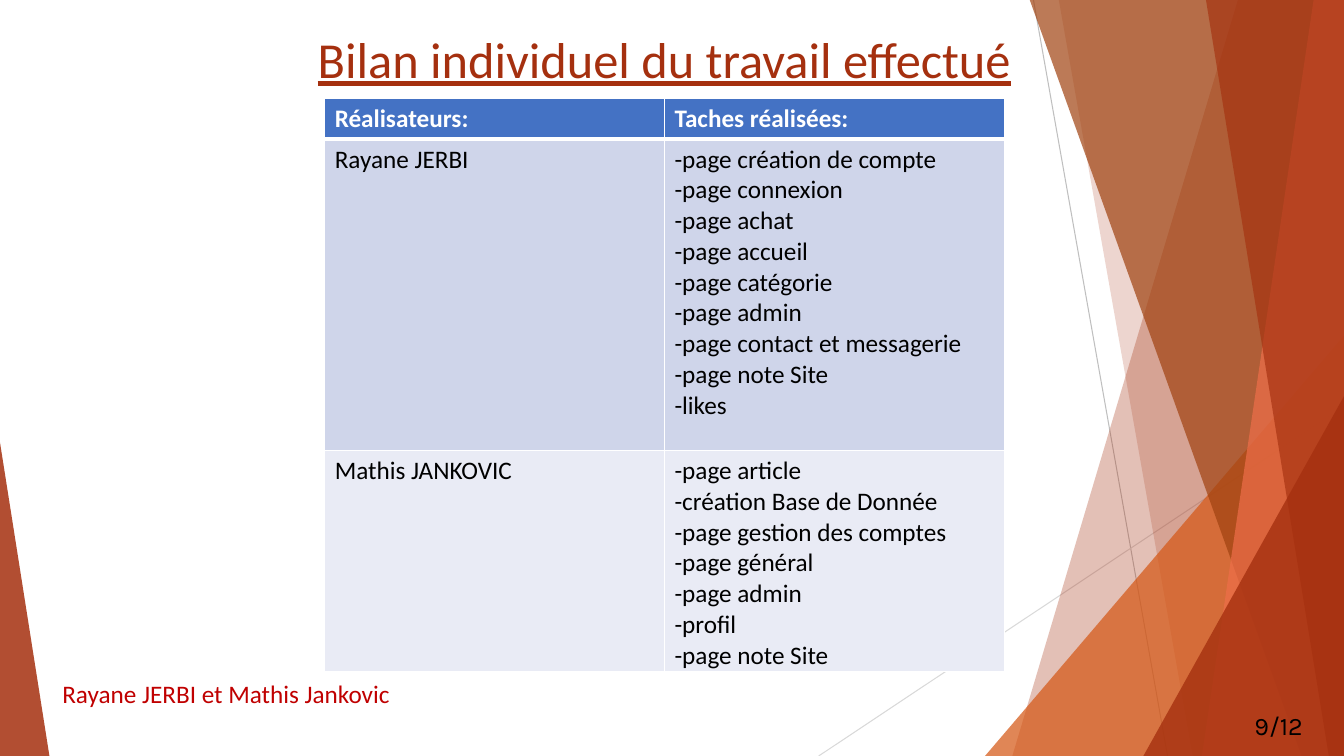
"""Build the slide that sums up the work done by each team member."""
from lxml import etree
from pptx import Presentation
from pptx.dml.color import RGBColor
from pptx.enum.shapes import MSO_CONNECTOR
from pptx.enum.text import MSO_ANCHOR, PP_ALIGN
from pptx.oxml.ns import qn
from pptx.util import Inches, Pt

STRAIGHT = MSO_CONNECTOR.STRAIGHT
MIDDLE = MSO_ANCHOR.MIDDLE
LEFT, CENTER, RIGHT = PP_ALIGN.LEFT, PP_ALIGN.CENTER, PP_ALIGN.RIGHT
TITLE_ONLY = 5
WIDTH, HEIGHT, TOP = 13.33, 7.5, -0.01

COLORS = {
    "rust": "A5300F", "orange": "D55816", "brown": "A04210", "coral": "EE6E4A",
    "gray": "BFBFBF", "light_gray": "D9D9D9", "red": "C00000", "black": "000000",
    "white": "FFFFFF", "header": "4472C4", "band_dark": "CFD5EA", "band_light": "E9EBF5",
}

RAYS = [
    ("gray", (10.25, 0), (11.58, HEIGHT)),
    ("light_gray", (WIDTH, 4.03), (8.12, HEIGHT)),
]

RIGHT_BANDS = [
    ("rust", 30, (12.28, TOP), 10.04),
    ("rust", 20, (10.5, TOP), 11.83),
    ("orange", 72, (WIDTH, 3.33), 9.77),
    ("brown", 70, (10.21, TOP), 12.91),
    ("coral", 70, (13.03, TOP), 11.92),
    ("rust", 65, (11.96, TOP), 13.18),
    ("rust", 80, (WIDTH, 3.93), 11.34),
]
LEFT_WEDGE = [(0, HEIGHT), (0, 4.39), (0.49, HEIGHT)]

COLUMN_WIDTH = 3.37
ROWS = [
    (0.4, "header", "white", ["Réalisateurs:"], ["Taches réalisées:"]),
    (3.09, "band_dark", "black", ["Rayane JERBI"], [
        "-page création de compte", "-page connexion", "-page achat",
        "-page accueil", "-page catégorie", "-page admin",
        "-page contact et messagerie", "-page note Site", "-likes"]),
    (2.19, "band_light", "black", ["Mathis JANKOVIC"], [
        "-page article", "-création Base de Donnée", "-page gestion des comptes",
        "-page général", "-page admin", "-profil", "-page note Site"]),
]


def rgb(name):
    """Return the named colour."""
    return RGBColor.from_string(COLORS[name])


def write_lines(frame, lines, color, size=18, font="Calibri", align=LEFT,
                bold=False, underline=False):
    """Write one paragraph per line with a common format."""
    for index, line in enumerate(lines):
        para = frame.paragraphs[0] if index == 0 else frame.add_paragraph()
        para.alignment = align
        span = para.add_run()
        span.text = line
        span.font.name = font
        span.font.size = Pt(size)
        span.font.bold = bold
        span.font.underline = underline
        span.font.color.rgb = rgb(color)


def add_ray(page, color, start, end):
    """Draw a thin decorative line."""
    ray = page.shapes.add_connector(STRAIGHT, *map(Inches, start + end))
    ray.line.color.rgb = rgb(color)
    ray.line.width = Pt(0.75)
    etree.SubElement(ray._element.spPr, qn("a:effectLst"))


def add_polygon(page, color, opacity, points):
    """Draw a translucent closed polygon."""
    corners = [(Inches(x), Inches(y)) for x, y in points]
    builder = page.shapes.build_freeform(*corners[0])
    builder.add_line_segments(corners[1:], close=True)
    polygon = builder.convert_to_shape()
    polygon.shadow.inherit = False
    polygon.line.fill.background()
    polygon.fill.solid()
    polygon.fill.fore_color.rgb = rgb(color)
    tint = polygon._element.spPr.find(qn("a:solidFill"))[0]
    etree.SubElement(tint, qn("a:alpha"), val=str(opacity * 1000))


def add_decor(page):
    """Draw the lines and bands at the slide's sides."""
    for color, start, end in RAYS:
        add_ray(page, color, start, end)
    for color, opacity, tip, foot in RIGHT_BANDS:
        edge = [] if tip[0] == WIDTH else [(WIDTH, TOP)]
        points = [tip] + edge + [(WIDTH, HEIGHT), (foot, HEIGHT)]
        add_polygon(page, color, opacity, points)
    add_polygon(page, "rust", 85, LEFT_WEDGE)


def add_title(page, text):
    """Place and format the title placeholder."""
    title = page.shapes.title
    title.left, title.top = Inches(1.89), Inches(0.18)
    title.width, title.height = Inches(9.4), Inches(0.8)
    title.text_frame.vertical_anchor = MIDDLE
    write_lines(title.text_frame, [text], "rust", 36, align=CENTER, underline=True)


def add_label(page, text, left, top, width, **style):
    """Add a one-line text box."""
    box = page.shapes.add_textbox(Inches(left), Inches(top), Inches(width), Inches(0.4))
    box.text_frame.word_wrap = True
    write_lines(box.text_frame, [text], **style)


def add_borders(cell, bottom):
    """Give a cell white borders, the lower one of its own width."""
    properties = cell._tc.get_or_add_tcPr()
    for side, points in (("L", 1), ("R", 1), ("T", 1), ("B", bottom)):
        line = etree.SubElement(properties, qn(f"a:ln{side}"), w=str(Pt(points)))
        fill = etree.SubElement(line, qn("a:solidFill"))
        etree.SubElement(fill, qn("a:srgbClr"), val=COLORS["white"])


def add_task_table(page):
    """Add the table of people and their tasks."""
    height = sum(row[0] for row in ROWS)
    table = page.shapes.add_table(len(ROWS), 2, Inches(3.22), Inches(0.98),
                                  Inches(2 * COLUMN_WIDTH), Inches(height)).table
    for column in table.columns:
        column.width = Inches(COLUMN_WIDTH)
    for index, (row_height, fill, color, *texts) in enumerate(ROWS):
        is_header = index == 0
        table.rows[index].height = Inches(row_height)
        for cell, lines in zip(table.rows[index].cells, texts):
            add_borders(cell, 3 if is_header else 1)
            cell.margin_bottom = 0
            cell.fill.solid()
            cell.fill.fore_color.rgb = rgb(fill)
            write_lines(cell.text_frame, lines, color, bold=is_header)


def main():
    """Build and save the deck."""
    deck = Presentation()
    deck.slide_width, deck.slide_height = Inches(WIDTH), Inches(HEIGHT)
    page = deck.slides.add_slide(deck.slide_layouts[TITLE_ONLY])
    add_decor(page)
    add_title(page, "Bilan individuel du travail effectué")
    add_label(page, "Rayane JERBI et Mathis Jankovic", 0.52, 6.68, 6.67, color="red")
    add_label(page, "9/12", 10.02, 7, 3, color="black", font="Karla", align=RIGHT)
    add_task_table(page)
    deck.save("out.pptx")


if __name__ == "__main__":
    main()
